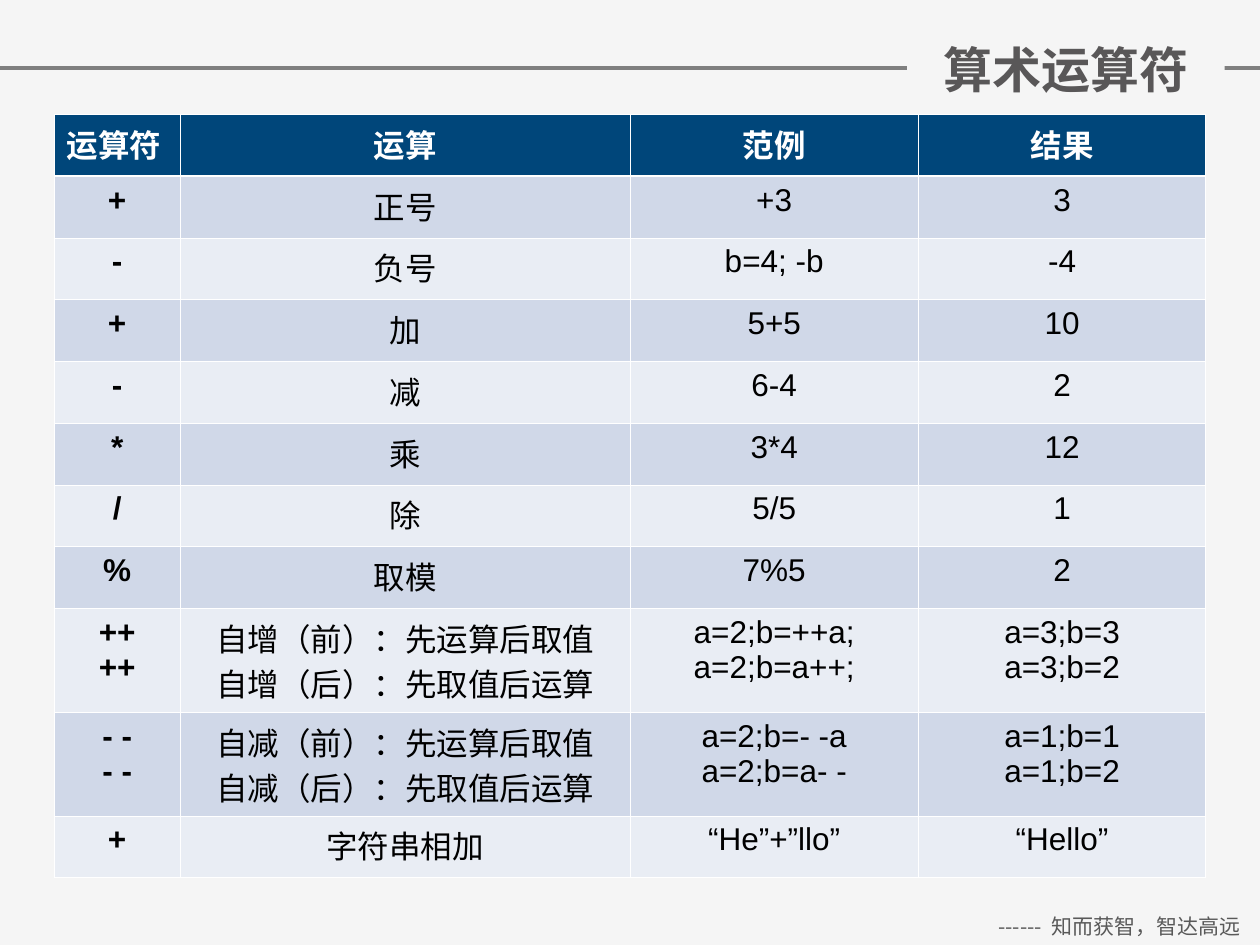
from lxml.etree import SubElement as Sub
from pptx import Presentation
from pptx.dml.color import RGBColor as Rgb
from pptx.enum.shapes import MSO_CONNECTOR as Conn
from pptx.enum.text import MSO_ANCHOR as Anchor, PP_ALIGN as Align
from pptx.oxml.ns import qn
from pptx.util import Inches, Pt

HUES = {"back": "F5F5F5", "rule": "7F7F7F", "note": "595959", "title": "595758",
        "head": "00467A", "odd": "D0D8E8", "even": "E9EDF4",
        "white": "FFFFFF", "ink": "000000"}
HAN = "Noto Sans CJK SC"
WIDTH, HEIGHT = 10, 7.5
COLS = [1, 3.57, 2.29, 2.28]
ROW, TALL = 0.49, 0.79
HEADS = ["运算符", "运算", "范例", "结果"]
ROWS = [
    ["+", "正号", "+3", "3"],
    ["-", "负号", "b=4; -b", "-4"],
    ["+", "加", "5+5", "10"],
    ["-", "减", "6-4", "2"],
    ["*", "乘", "3*4", "12"],
    ["/", "除", "5/5", "1"],
    ["%", "取模", "7%5", "2"],
    ["++\n++", "自增（前）：先运算后取值\n自增（后）：先取值后运算",
     "a=2;b=++a;\na=2;b=a++;", "a=3;b=3\na=3;b=2"],
    ["- -\n- -", "自减（前）：先运算后取值\n自减（后）：先取值后运算",
     "a=2;b=- -a\na=2;b=a- -", "a=1;b=1\na=1;b=2"],
    ["+", "字符串相加", "“He”+”llo”", "“Hello”"],
]


class Deck:
    """Holds the style and the current slide, and draws each kind of element."""

    def __init__(self):
        self.prs = Presentation()
        self.prs.slide_width, self.prs.slide_height = Inches(WIDTH), Inches(HEIGHT)
        self.slide = self.prs.slides.add_slide(self.prs.slide_layouts[5])
        self.shapes = self.slide.shapes
        self.paint(self.slide.background.fill, "back")

    def paint(self, fill, hue):
        fill.solid()
        fill.fore_color.rgb = Rgb.from_string(HUES[hue])

    def box(self, x, y, w, h):
        return [Inches(v) for v in (x * WIDTH, y * HEIGHT, w * WIDTH, h * HEIGHT)]

    def text(self, frame, words, size, hue, bold=False, face=HAN, align=Align.CENTER):
        for i, line in enumerate(words.split("\n")):
            para = frame.add_paragraph() if i else frame.paragraphs[0]
            para.alignment = align
            run = para.add_run()
            run.text = line
            font = run.font
            font.size, font.bold, font.name = Pt(size), bold, face
            font.color.rgb = Rgb.from_string(HUES[hue])
            Sub(run._r.get_or_add_rPr(), qn("a:ea"), typeface=HAN)

    def rule(self, y):
        x, top, w, _ = self.box(0, y, 1, 0)
        line = self.shapes.add_connector(Conn.STRAIGHT, x, top, w, top)
        line.line.color.rgb = Rgb.from_string(HUES["rule"])
        line.line.width = Pt(2)
        Sub(line._element.spPr, qn("a:effectLst"))

    def title(self, words, *area):
        shape = self.shapes.title
        shape.left, shape.top, shape.width, shape.height = self.box(*area)
        self.paint(shape.fill, "back")
        frame = shape.text_frame
        frame.vertical_anchor = Anchor.MIDDLE
        self.text(frame, words, 28, "title", True)
        self.shapes._spTree.append(shape._element)

    def note(self, words, *area):
        frame = self.shapes.add_textbox(*self.box(*area)).text_frame
        frame.word_wrap = False
        self.text(frame, words, 12, "note")

    def edge(self, cell, widths):
        props = cell._tc.get_or_add_tcPr()
        for side, width in zip("LRTB", widths):
            line = Sub(props, qn(f"a:ln{side}"), w=str(Pt(width)))
            Sub(Sub(line, qn("a:solidFill")), qn("a:srgbClr"), val=HUES["white"])

    def table(self, x, y):
        grid = [HEADS] + ROWS
        highs = [TALL if "\n" in row[0] else ROW for row in grid]
        area = self.box(x, y, sum(COLS) / WIDTH, sum(highs) / HEIGHT)
        table = self.shapes.add_table(len(grid), len(COLS), *area).table
        for col, width in zip(table.columns, COLS):
            col.width = Inches(width)
        for r, (row, high) in enumerate(zip(grid, highs)):
            table.rows[r].height = Inches(high)
            fill = "head" if r == 0 else "odd" if r % 2 else "even"
            thin, thick = 0.45, 1.47
            widths = [thin, thin, thick if r == 1 else thin, thick if r == 0 else thin]
            for c, words in enumerate(row):
                cell = table.cell(r, c)
                self.edge(cell, widths)
                self.paint(cell.fill, fill)
                self.text(cell.text_frame, words, 18, "ink" if r else "white",
                          r == 0 or c == 0, "Arial" if r else "Times New Roman",
                          Align.CENTER if r or c else Align.LEFT)


def main():
    deck = Deck()
    deck.rule(0.54 / HEIGHT)
    deck.note("------  知而获智，智达高远", 0.776, 0.96, 0.225, 0.04)
    deck.title("算术运算符", 0.72, 0.26 / HEIGHT, 0.252, 0.57 / HEIGHT)
    deck.table(0.043, 0.91 / HEIGHT)
    deck.prs.save("out.pptx")


if __name__ == "__main__":
    main()
